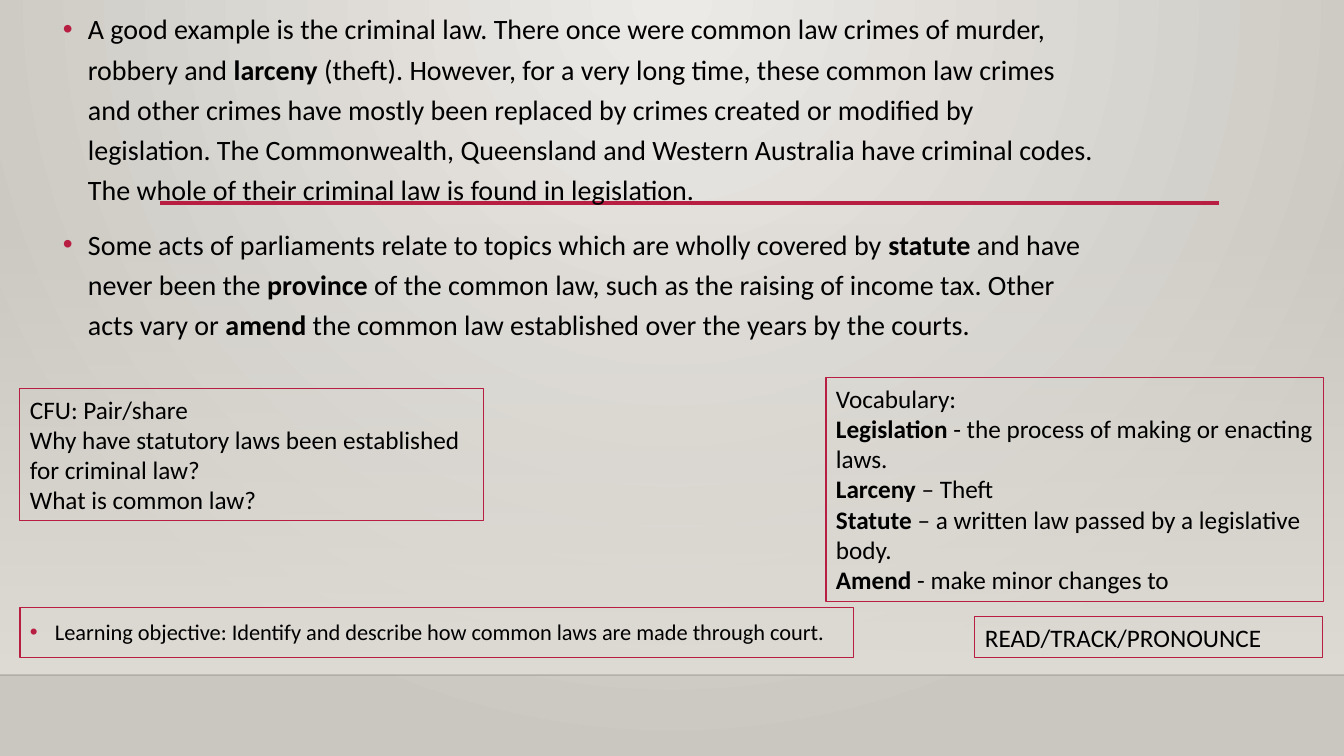
from lxml.etree import SubElement
from pptx import Presentation
from pptx.dml.color import RGBColor
from pptx.enum.shapes import MSO_CONNECTOR, MSO_SHAPE
from pptx.enum.text import MSO_ANCHOR, PP_ALIGN
from pptx.oxml.ns import qn
from pptx.util import Emu, Pt

# Content: each paragraph is a list of (text, bold) runs
LAW_POINTS = [
    [("A good example is the criminal law. There once were common law crimes of murder, "
      "robbery and ", False),
     ("larceny", True),
     (" (theft). However, for a very long time, these common law crimes and other crimes "
      "have mostly been replaced by crimes created or modified by legislation. "
      "The Commonwealth, Queensland and Western Australia have criminal codes. "
      "The whole of their criminal law is found in legislation.", False)],
    [("Some acts of parliaments relate to topics which are wholly covered by ", False),
     ("statute", True),
     (" and have never been the ", False),
     ("province", True),
     (" of the common law, such as the raising of income tax. Other acts vary or ", False),
     ("amend", True),
     (" the common law established over the years by the courts.", False)],
]
VOCABULARY = [
    [("Vocabulary:", False)],
    [("Legislation", True), (" - the process of making or enacting laws.", False)],
    [("Larceny", True), (" – Theft", False)],
    [("Statute", True), (" – a written law passed by a legislative body.", False)],
    [("Amend", True), (" - make minor changes to", False)],
]
QUESTIONS = [
    [("CFU: Pair/share", False)],
    [("Why have statutory laws been established for criminal law?", False)],
    [("What is common law?", False)],
]
OBJECTIVE = [[("Learning objective: Identify and describe how common laws are made "
               "through court.", False)]]
ROUTINE = [[("READ/TRACK/PRONOUNCE", False)]]

# (left, top, width, height) in px, paragraphs, point size, bulleted
FRAMED_BOXES = [
    ((826, 378, 498, 224), VOCABULARY, 18, False),
    ((20, 389, 464, 132), QUESTIONS, 18, False),
    ((20, 608, 834, 50), OBJECTIVE, 16, True),
    ((975, 617, 348, 41), ROUTINE, 18, False),
]

# Look
FONT = "Calibri"
BLACK = RGBColor(0x00, 0x00, 0x00)
CRIMSON = RGBColor(0xB7, 0x1E, 0x42)
FLOOR_LINE = RGBColor(0x00, 0x00, 0x01)
STONE = RGBColor(0xDF, 0xDB, 0xD5)
PALE_STONE = RGBColor(0xEC, 0xEA, 0xE7)
DARK_STONE = RGBColor(0xCA, 0xC7, 0xC1)
WIDTH, HEIGHT = 1344, 756
FLOOR = 675
INDENT = 25


def px(length):
    return Emu(round(length * 914400 / 100.8))


def paint_gradient(fill, first, last):
    fill.gradient()
    for stop, color in zip(fill.gradient_stops, (first, last)):
        stop.color.rgb = color


def set_alpha(element, percent):
    color = element.find(".//" + qn("a:srgbClr"))
    SubElement(color, qn("a:alpha"), val=str(percent * 1000))


def add_rule(page, left, right, y, color, width):
    rule = page.shapes.add_connector(
        MSO_CONNECTOR.STRAIGHT, px(left), px(y), px(right), px(y))
    rule.line.color.rgb = color
    rule.line.width = Pt(width)
    SubElement(rule._element.spPr, qn("a:effectLst"))
    return rule


def add_bullet(para):
    props = para._p.get_or_add_pPr()
    props.set("marL", str(px(INDENT)))
    props.set("indent", str(-px(INDENT)))
    color = SubElement(props, qn("a:buClr"))
    SubElement(color, qn("a:srgbClr"), val=str(CRIMSON))
    SubElement(props, qn("a:buFont"), typeface="Arial")
    SubElement(props, qn("a:buChar"), char="•")
    para.line_spacing = 1.2


def write(box, paragraphs, size, bulleted):
    frame = box.text_frame
    frame.word_wrap = True
    frame.vertical_anchor = MSO_ANCHOR.TOP
    for index, runs in enumerate(paragraphs):
        para = frame.add_paragraph() if index else frame.paragraphs[0]
        para.alignment = PP_ALIGN.LEFT
        if bulleted:
            add_bullet(para)
            if index:
                para.space_before = Pt(10)
        for text, bold in runs:
            span = para.add_run()
            span.text = text
            span.font.name = FONT
            span.font.size = Pt(size)
            span.font.bold = bold
            span.font.color.rgb = BLACK


deck = Presentation()
deck.slide_width, deck.slide_height = px(WIDTH), px(HEIGHT)
page = deck.slides.add_slide(deck.slide_layouts[6])

# Background glow from the top centre
paint_gradient(page.background.fill, PALE_STONE, DARK_STONE)
glow = page._element.find(".//" + qn("a:gradFill"))
glow.remove(glow.find(qn("a:lin")))
circle = SubElement(glow, qn("a:path"), attrib={"path": "circle"})
SubElement(circle, qn("a:fillToRect"), l="43000", t="0", r="43000", b="100000")

# Wall fading in down to the floor line
wall = page.shapes.add_shape(
    MSO_SHAPE.RECTANGLE, 0, px(223), px(WIDTH), px(FLOOR - 223))
wall.shadow.inherit = False
wall.line.fill.background()
paint_gradient(wall.fill, STONE, STONE)
wall.fill.gradient_angle = 270
set_alpha(wall._element.spPr, 0)

# Rules
floor_rule = add_rule(page, 0, WIDTH, FLOOR, FLOOR_LINE, 1)
set_alpha(floor_rule._element.spPr, 20)
add_rule(page, 160, 1219, 203, CRIMSON, 2.5)

# Main text
body = page.shapes.add_textbox(px(53), 0, px(1058), px(380))
write(body, LAW_POINTS, 20, True)

# Framed boxes
for place, paragraphs, size, bulleted in FRAMED_BOXES:
    box = page.shapes.add_shape(MSO_SHAPE.RECTANGLE, *map(px, place))
    box.shadow.inherit = False
    box.fill.background()
    box.line.color.rgb = CRIMSON
    box.line.width = Pt(0.75)
    write(box, paragraphs, size, bulleted)

deck.save("out.pptx")
